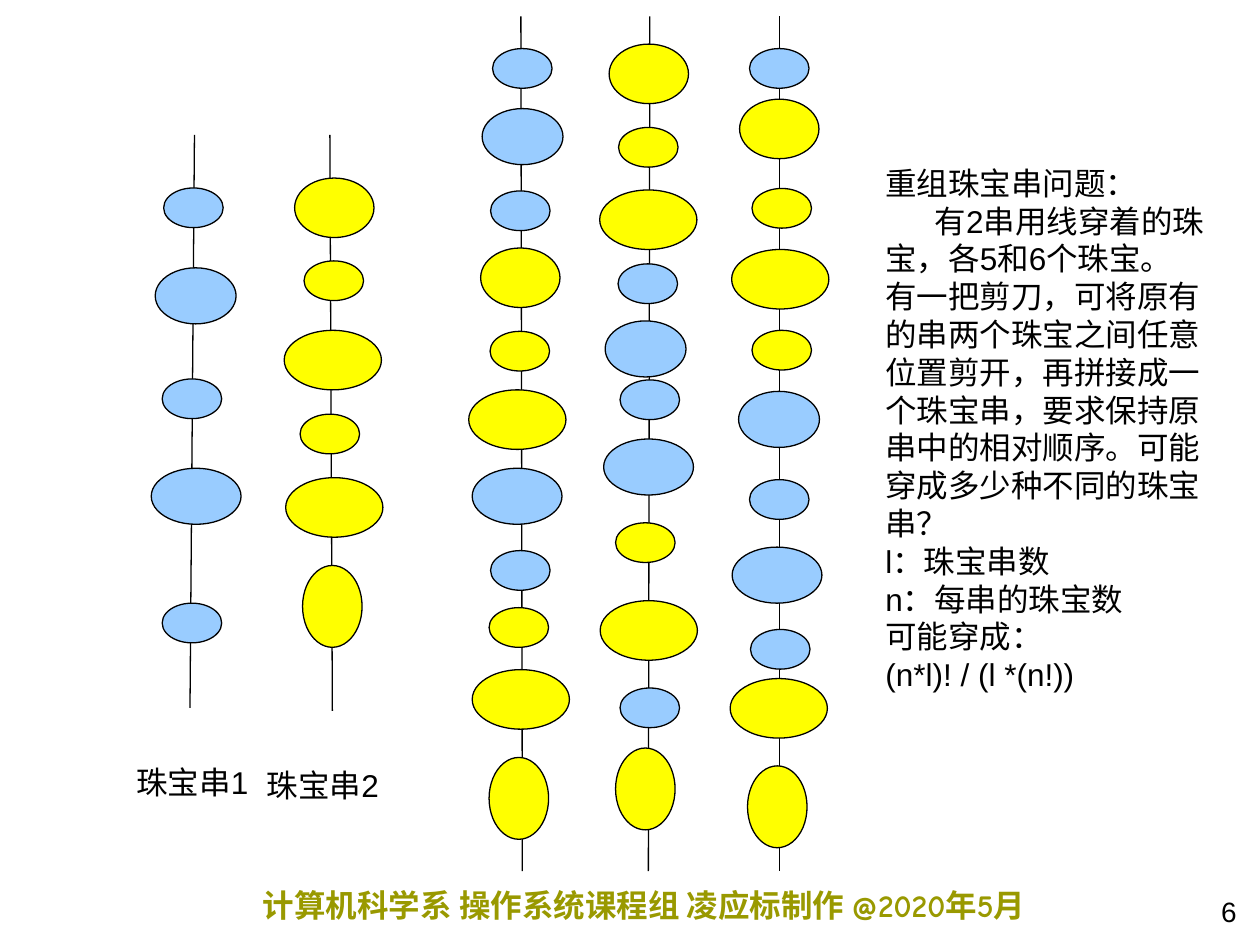
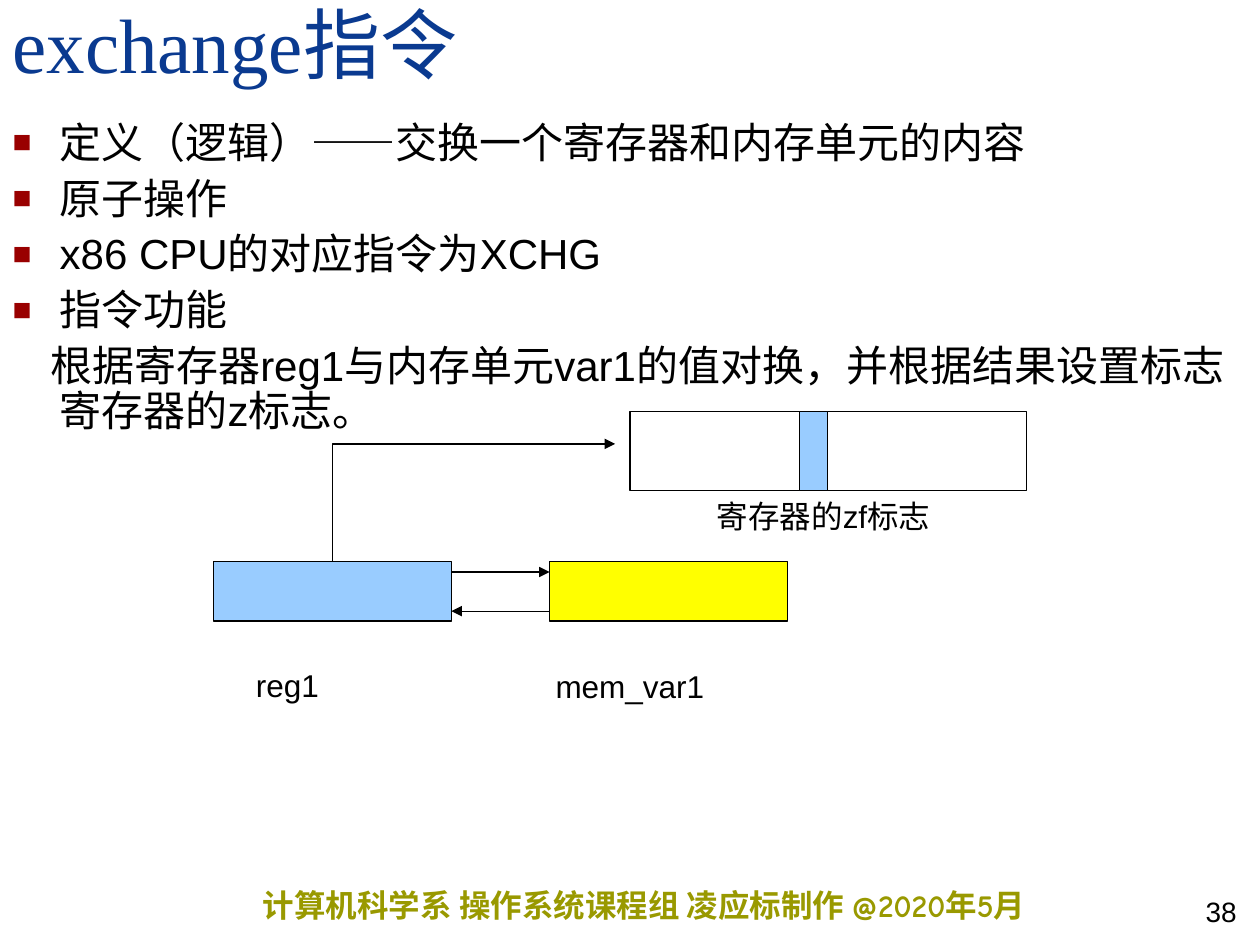
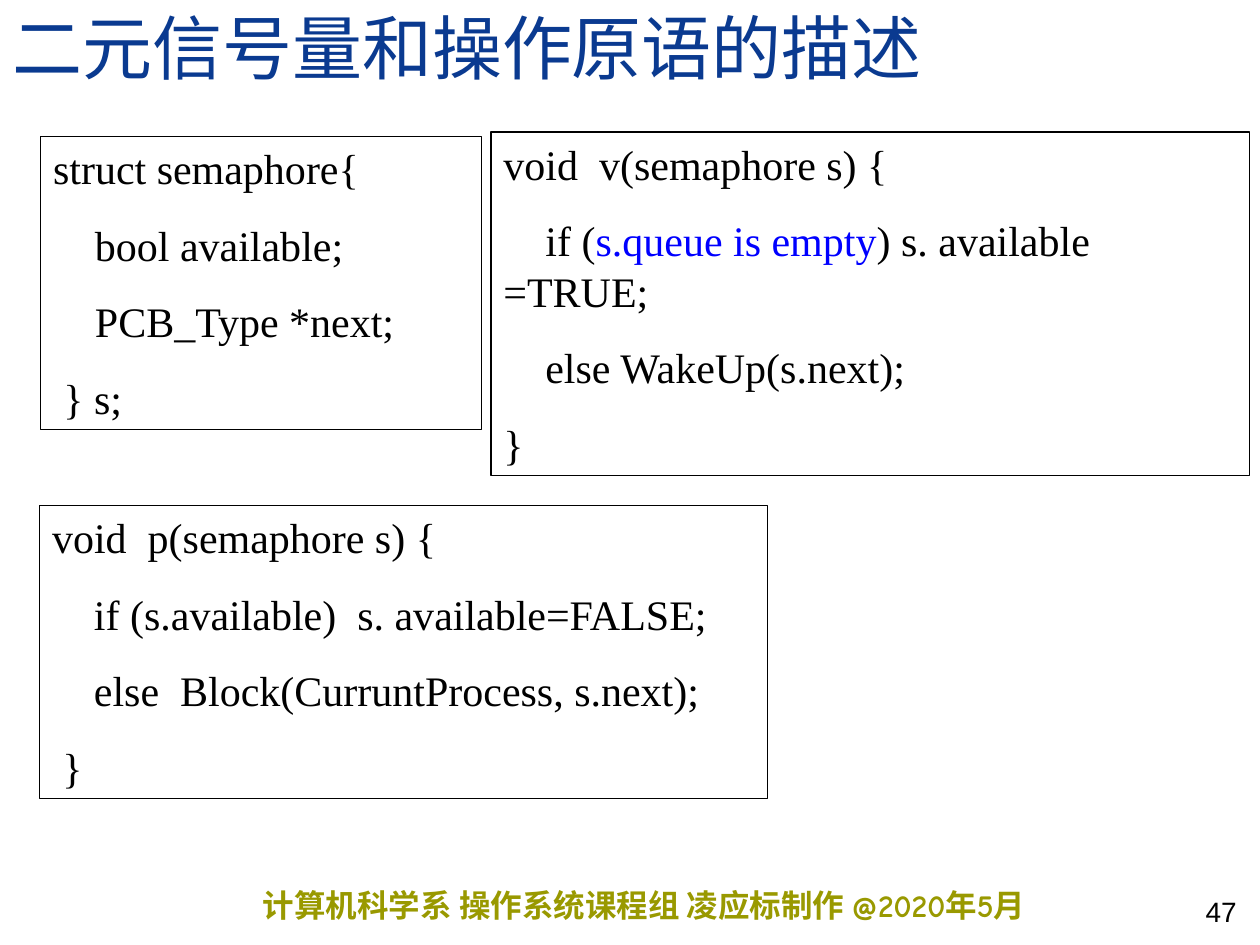
from lxml import etree
from pptx import Presentation
from pptx.dml.color import RGBColor
from pptx.enum.shapes import MSO_CONNECTOR, MSO_SHAPE
from pptx.enum.text import MSO_ANCHOR, MSO_AUTO_SIZE, PP_ALIGN
from pptx.oxml.ns import qn
from pptx.util import Cm, Pt

OVAL, RECT = MSO_SHAPE.OVAL, MSO_SHAPE.RECTANGLE
LINE, ELBOW = MSO_CONNECTOR.STRAIGHT, MSO_CONNECTOR.ELBOW
TOP, BOTTOM = MSO_ANCHOR.TOP, MSO_ANCHOR.BOTTOM
LEFT, RIGHT = PP_ALIGN.LEFT, PP_ALIGN.RIGHT
FIXED = MSO_AUTO_SIZE.NONE

BLACK = RGBColor(0, 0, 0)
NAVY = RGBColor(0x0A, 0x3A, 0x90)
OLIVE = RGBColor(0x99, 0x99, 0)
RED = RGBColor(0x99, 0, 0)
SKY = RGBColor(0x99, 0xCC, 0xFF)
YELLOW = RGBColor(0xFF, 0xFF, 0)
BLUE = RGBColor(0, 0, 0xFF)
SANS, SERIF, COMIC = "Arial", "Times New Roman", "Comic Neue"

CREDIT = "计算机科学系 操作系统课程组 凌应标制作 @2020年5月"
HARD = chr(160)

BEADS = {
    "small": (SKY, 1.2, 0.8),
    "mid": (SKY, 1.63, 1.13),
    "big": (SKY, 1.81, 1.13),
    "dot": (YELLOW, 1.2, 0.8),
    "round": (YELLOW, 1.6, 1.2),
    "wide": (YELLOW, 1.96, 1.2),
    "tall": (YELLOW, 1.2, 1.65),
}

STRINGS = [
    ((3.92, 2.72, 3.83, 14.27), [
        ("small", 3.3, 3.79), ("mid", 3.13, 5.4), ("small", 3.27, 7.64),
        ("big", 3.05, 9.44), ("small", 3.27, 12.16)]),
    ((6.65, 2.72, 6.7, 14.33), [
        ("round", 5.94, 3.59), ("dot", 6.13, 5.26), ("wide", 5.73, 6.66),
        ("dot", 6.05, 8.35), ("wide", 5.76, 9.63), ("tall", 6.1, 11.4)]),
    ((10.5, 0.33, 10.53, 17.56), [
        ("small", 9.93, 0.98), ("mid", 9.72, 2.19), ("small", 9.89, 3.85),
        ("round", 9.69, 5), ("dot", 9.88, 6.68), ("wide", 9.45, 7.86),
        ("big", 9.52, 9.44), ("small", 9.89, 11.1), ("dot", 9.86, 12.25),
        ("wide", 9.52, 13.5), ("tall", 9.86, 15.27)]),
    ((13.1, 0.33, 13.07, 17.56), [
        ("round", 12.28, 0.89), ("dot", 12.47, 2.57), ("wide", 12.09, 3.83),
        ("small", 12.46, 5.32), ("mid", 12.2, 6.47), ("small", 12.5, 7.66),
        ("big", 12.17, 8.85), ("dot", 12.41, 10.54), ("wide", 12.1, 12.11),
        ("small", 12.5, 13.87), ("tall", 12.41, 15.08)]),
    ((15.71, 0.33, 15.71, 17.56), [
        ("small", 15.11, 0.98), ("round", 14.91, 2), ("dot", 15.16, 3.8),
        ("wide", 14.75, 5.03), ("dot", 15.16, 6.66), ("mid", 14.89, 7.89),
        ("small", 15.11, 9.67), ("big", 14.76, 11.03), ("small", 15.13, 12.69),
        ("wide", 14.72, 13.68), ("tall", 15.07, 15.44)]),
]

PUZZLE = [
    "重组珠宝串问题：",
    "有2串用线穿着的珠宝，各5和6个珠宝。",
    "有一把剪刀，可将原有的串两个珠宝之间任意位置剪开，再拼接成一个珠宝串，"
    "要求保持原串中的相对顺序。可能穿成多少种不同的珠宝串？",
    "l：珠宝串数",
    "n：每串的珠宝数",
    HARD.join(["可能穿成：(n*l)!", "/", "(l", "*(n!))"]),
]

POINTS = [
    "定义（逻辑）——交换一个寄存器和内存单元的内容",
    "原子操作",
    "x86 CPU的对应指令为XCHG",
    "指令功能",
    "根据寄存器reg1与内存单元var1的值对换，并根据结果设置标志寄存器的z标志。",
]

STRUCT = ["struct semaphore{", "    bool available;",
          "    PCB_Type *next;", " } s;"]
WAIT = ["void  p(semaphore s) {", "    if (s.available)  s. available=FALSE;",
        "    else  Block(CurruntProcess, s.next);", " }"]
WAKE = ["void  v(semaphore s) {",
        ("    if (", "s.queue is empty", ") s. available =TRUE;"),
        "    else WakeUp(s.next);", "}"]


def place(shape, x, y, w, h):
    shape.left, shape.top = Cm(x), Cm(y)
    shape.width, shape.height = Cm(w), Cm(h)


def style(para, size, color=BLACK, name=SANS, bold=False):
    font = para.font
    font.size, font.name, font.bold = Pt(size), name, bold
    font.color.rgb = color


def fill_text(frame, lines):
    for i, line in enumerate(lines):
        para = frame.paragraphs[0] if i == 0 else frame.add_paragraph()
        para.text = line
        para._p.get_or_add_pPr().set("hangingPunct", "0")
    return frame.paragraphs


def indent(para, margin, first):
    props = para._p.get_or_add_pPr()
    props.set("marL", str(Cm(margin)))
    props.set("indent", str(Cm(first)))
    return props


def bullet(props):
    tint = etree.SubElement(props, qn("a:buClr"))
    etree.SubElement(tint, qn("a:srgbClr"), val=str(RED))
    etree.SubElement(props, qn("a:buSzPct"), val="75000")
    etree.SubElement(props, qn("a:buChar"), char="■")


def note(slide, x, y, w, h, lines, size=18, wrap=True, **look):
    box = slide.shapes.add_textbox(Cm(x), Cm(y), Cm(w), Cm(h))
    frame = box.text_frame
    frame.word_wrap = wrap
    for para in fill_text(frame, lines):
        style(para, size, **look)
    return frame


def label(slide, x, y, w, text):
    note(slide, x, y, w, 1.02, [text], wrap=False)


def block(slide, kind, x, y, w, h, fill=None):
    shape = slide.shapes.add_shape(kind, Cm(x), Cm(y), Cm(w), Cm(h))
    shape.shadow.inherit = False
    if fill is None:
        shape.fill.background()
    else:
        shape.fill.solid()
        shape.fill.fore_color.rgb = fill
    shape.line.color.rgb = BLACK
    shape.line.width = Pt(0.75)
    return shape


def link(slide, x1, y1, x2, y2, kind=LINE, arrow=False):
    wire = slide.shapes.add_connector(kind, Cm(x1), Cm(y1), Cm(x2), Cm(y2))
    wire.line.color.rgb = BLACK
    wire.line.width = Pt(0.75)
    if arrow:
        etree.SubElement(wire.line._get_or_add_ln(), qn("a:tailEnd"),
                         type="triangle")
    etree.SubElement(wire._element.spPr, qn("a:effectLst"))
    return wire


def bend(slide, x1, y1, x2, y2):
    mid_x, mid_y = (x1 + x2) / 2, (y1 + y2) / 2
    dx, dy = (y1 - y2) / 2, (x2 - x1) / 2
    wire = link(slide, mid_x + dx, mid_y + dy, mid_x - dx, mid_y - dy,
                ELBOW, True)
    props = wire._element.spPr
    props.find(qn("a:xfrm")).set("rot", "5400000")
    props.find(qn("a:prstGeom")).set("prst", "bentConnector2")


def string(slide, thread, beads):
    link(slide, *thread)
    for kind, x, y in beads:
        fill, w, h = BEADS[kind]
        block(slide, OVAL, x, y, w, h, fill)


def title(slide, text, size, width):
    head = slide.shapes.title
    place(head, 0, 0, width, 1.9)
    frame = head.text_frame
    frame.text = text
    frame.auto_size, frame.vertical_anchor = FIXED, BOTTOM
    para = frame.paragraphs[0]
    para.alignment, para.line_spacing = LEFT, 0.8
    style(para, size, NAVY, SERIF)


def points(slide, lines):
    body = slide.placeholders[1]
    place(body, 0, 2.33, 24.96, 7.19)
    frame = body.text_frame
    frame.auto_size = FIXED
    last = len(lines) - 1
    for i, para in enumerate(fill_text(frame, lines)):
        if i < last:
            bullet(indent(para, 0.95, -0.95))
        else:
            etree.SubElement(indent(para, 0.95, -0.19), qn("a:buNone"))
        para.line_spacing = 0.9
        para.space_before = Pt(6 if i else 0)
        style(para, 24)


def code(slide, x, y, w, h, lines):
    frame = block(slide, RECT, x, y, w, h).text_frame
    frame.word_wrap, frame.vertical_anchor = True, TOP
    for i, line in enumerate(lines):
        para = frame.paragraphs[0] if i == 0 else frame.add_paragraph()
        para.alignment = LEFT
        para.space_before = Pt(15 if i else 0)
        style(para, 24, name=SERIF)
        if isinstance(line, str):
            para.text = line
            continue
        for j, part in enumerate(line):
            run = para.add_run()
            run.text = part
            run.font.color.rgb = BLUE if j == 1 else BLACK


def start(deck, layout, number):
    slide = deck.slides.add_slide(deck.slide_layouts[layout])
    foot = note(slide, 5.3, 17.73, 18.59, 1.02, [CREDIT],
                color=OLIVE, name=COMIC, bold=True)
    foot.margin_left = foot.margin_right = 0
    page = note(slide, 21.17, 17.56, 4.01, 1.27, [str(number)], 16)
    page.vertical_anchor = BOTTOM
    page.paragraphs[0].alignment = RIGHT
    return slide


def jewels(deck):
    slide = start(deck, 6, 6)
    for thread, beads in STRINGS:
        string(slide, thread, beads)
    label(slide, 2.5, 15.26, 2.92, "珠宝串1")
    label(slide, 5.13, 15.32, 2.92, "珠宝串2")
    text = note(slide, 17.6, 3.18, 7.11, 11.68, PUZZLE)
    indent(text.paragraphs[1], 0, 0.99)


def swap(deck):
    slide = start(deck, 1, 38)
    title(slide, "exchange指令", 44, 24.77)
    points(slide, POINTS)
    block(slide, RECT, 4.3, 11.32, 4.8, 1.2, SKY)
    block(slide, RECT, 11.08, 11.32, 4.8, 1.2, YELLOW)
    link(slide, 9.1, 11.53, 11.08, 11.53, arrow=True)
    link(slide, 11.08, 12.32, 9.1, 12.32, arrow=True)
    label(slide, 10.95, 13.33, 3.51, "mem_var1")
    label(slide, 4.91, 13.31, 1.78, "reg1")
    block(slide, RECT, 12.7, 8.29, 8, 1.6)
    block(slide, RECT, 16.12, 8.29, 0.56, 1.6, SKY)
    bend(slide, 6.7, 11.32, 12.4, 8.95)
    label(slide, 14.2, 9.89, 5.11, "寄存器的zf标志")


def locks(deck):
    slide = start(deck, 5, 47)
    title(slide, "二元信号量和操作原语的描述", 40, 25.4)
    code(slide, 0.82, 2.75, 8.89, 5.91, STRUCT)
    code(slide, 0.8, 10.19, 14.68, 5.91, WAIT)
    code(slide, 9.9, 2.66, 15.29, 6.93, WAKE)


def main():
    deck = Presentation()
    deck.slide_width, deck.slide_height = Cm(25.4), Cm(19.05)
    jewels(deck)
    swap(deck)
    locks(deck)
    deck.save("out.pptx")


if __name__ == "__main__":
    main()
